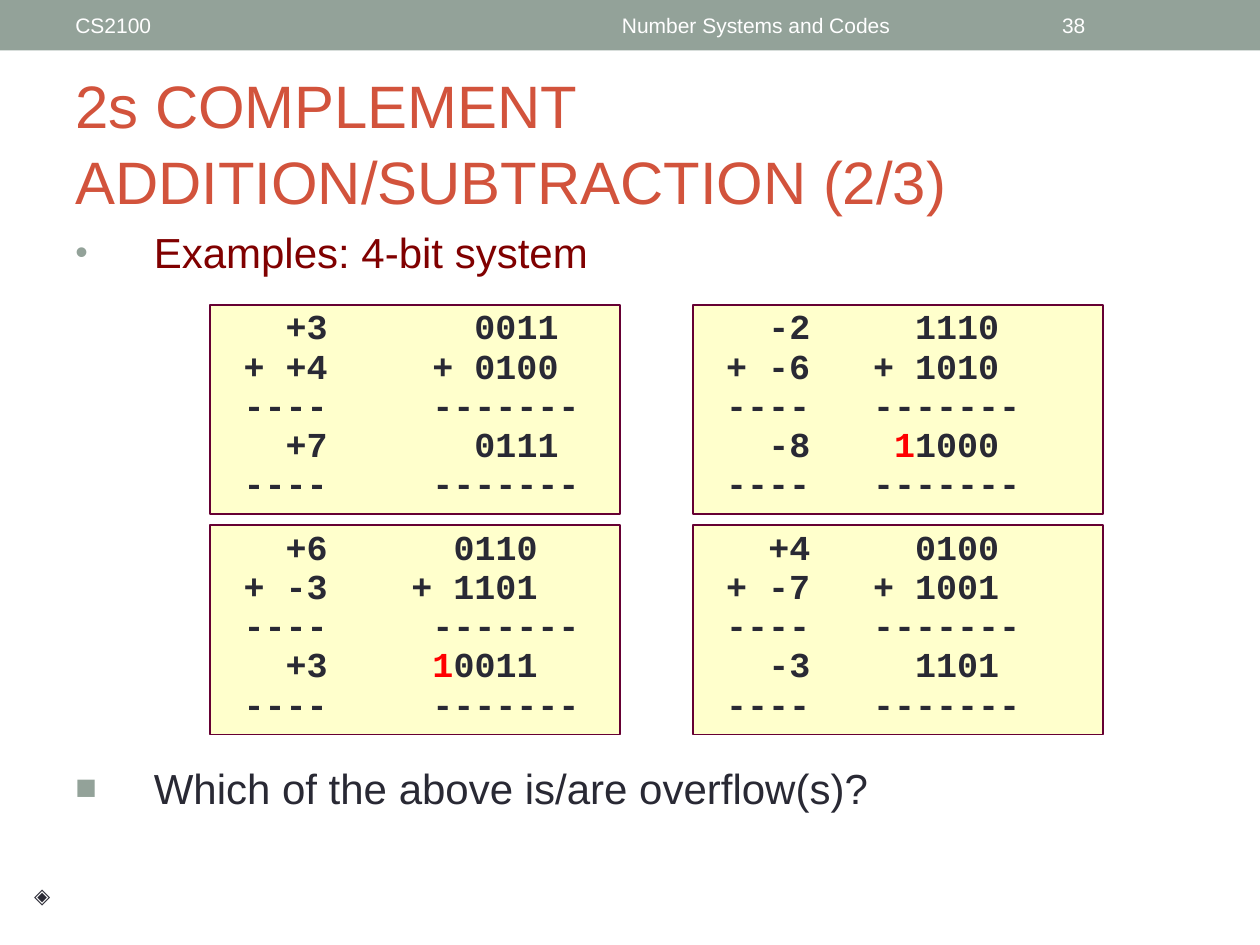
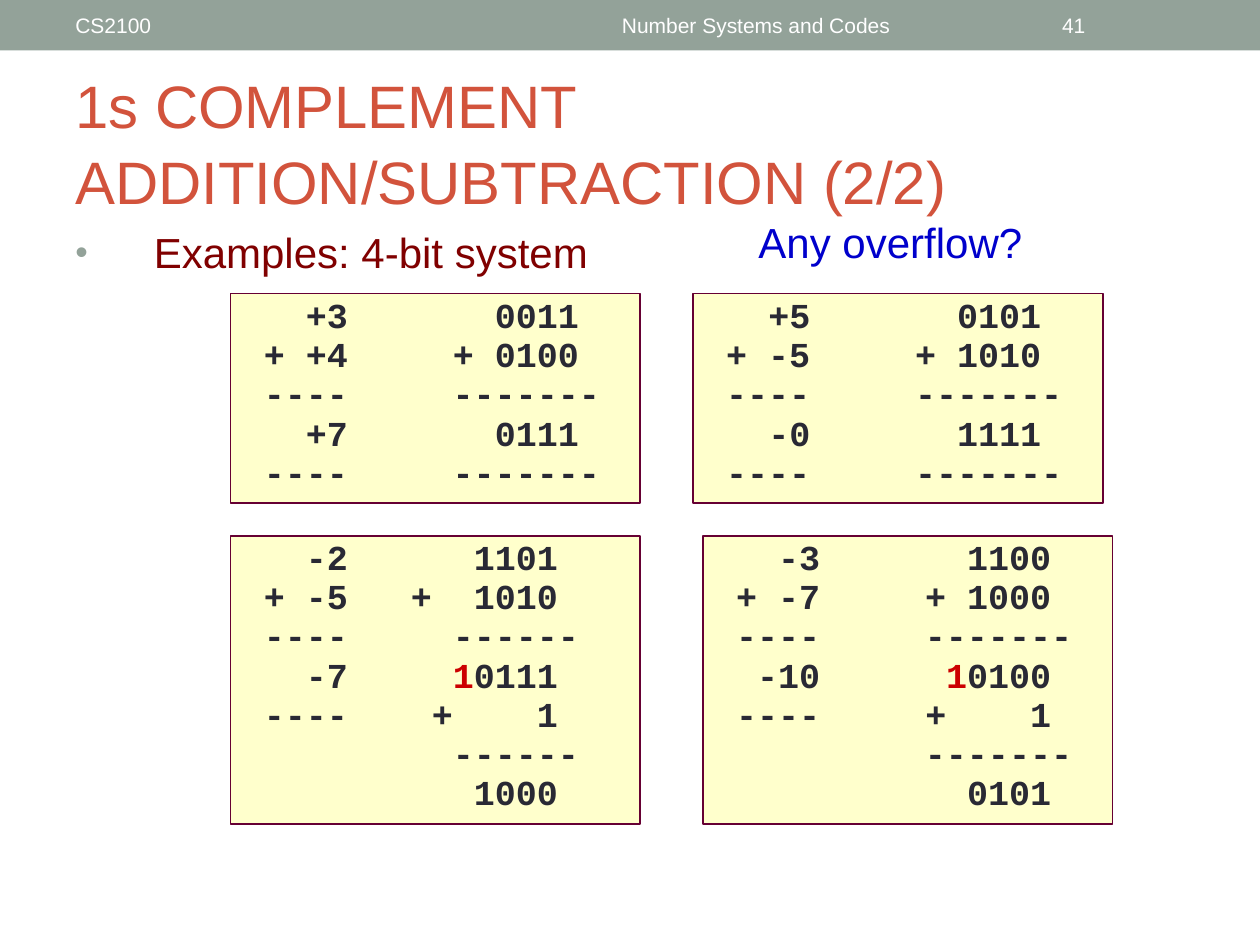
from lxml import etree
from pptx import Presentation
from pptx.dml.color import RGBColor
from pptx.enum.shapes import MSO_SHAPE
from pptx.enum.text import MSO_ANCHOR, MSO_AUTO_SIZE, PP_ALIGN
from pptx.oxml.ns import qn
from pptx.util import Cm, Pt

RECT = MSO_SHAPE.RECTANGLE
TOP, MIDDLE = MSO_ANCHOR.TOP, MSO_ANCHOR.MIDDLE
LEFT, CENTER = PP_ALIGN.LEFT, PP_ALIGN.CENTER
FIXED = MSO_AUTO_SIZE.NONE

SAGE = RGBColor(0x93, 0xA2, 0x99)
RUST = RGBColor(0xD2, 0x53, 0x3C)
MAROON = RGBColor(0x80, 0x00, 0x00)
INK = RGBColor(0x29, 0x29, 0x34)
CREAM = RGBColor(0xFF, 0xFF, 0xCC)
PLUM = RGBColor(0x66, 0x00, 0x33)
RED = RGBColor(0xFF, 0x00, 0x00)
DARK_RED = RGBColor(0xCC, 0x00, 0x00)
BLUE = RGBColor(0x00, 0x00, 0xCC)
WHITE = RGBColor(0xFF, 0xFF, 0xFF)

CHAR = Cm(2.54 / 6)
LEFT_END = 5
RULE, LONG = "----", "-------"

SLIDES = [
    {
        "page": "38",
        "title": ["2s COMPLEMENT", "ADDITION/SUBTRACTION (2/3)"],
        "lists": [("Examples: 4-bit system", "•", MAROON, 4.45, 1.47),
                  ("Which of the above is/are overflow(s)?", "■", INK, 15.24, 1.9)],
        "notes": [("◈", 12, INK, CENTER, 0.03, (0.43, 17.78, 0.84, 0.56))],
        "carry": RED,
        "sums": [
            (4.24, 6.15, 4.22, 16, 17, [("+3", "0011"), ("+ +4", "+ 0100"), (RULE, LONG),
                                        ("+7", "0111"), (RULE, LONG)]),
            (13.97, 6.15, 4.22, 14, 15, [("-2", "1110"), ("+ -6", "+ 1010"), (RULE, LONG),
                                         ("-8", "11000"), (RULE, LONG)]),
            (4.24, 10.59, 4.22, 15, 17, [("+6", "0110"), ("+ -3", "+ 1101"), (RULE, LONG),
                                         ("+3", "10011"), (RULE, LONG)]),
            (13.97, 10.59, 4.22, 14, 15, [("+4", "0100"), ("+ -7", "+ 1001"), (RULE, LONG),
                                          ("-3", "1101"), (RULE, LONG)]),
        ],
    },
    {
        "page": "41",
        "title": ["1s COMPLEMENT", "ADDITION/SUBTRACTION (2/2)"],
        "lists": [("Examples: 4-bit system", "•", MAROON, 4.45, 1.47)],
        "notes": [("Any overflow?", 24, BLUE, LEFT, 0.25, (15.04, 4.24, 7.62, 1.3))],
        "carry": DARK_RED,
        "sums": [
            (4.65, 5.92, 4.22, 16, 17, [("+3", "0011"), ("+ +4", "+ 0100"), (RULE, LONG),
                                        ("+7", "0111"), (RULE, LONG)]),
            (13.97, 5.92, 4.22, 16, 17, [("+5", "0101"), ("+ -5", "+ 1010"), (RULE, LONG),
                                         ("-0", "1111"), (RULE, LONG)]),
            (4.65, 10.8, 5.82, 15, 16, [("-2", "1101"), ("+ -5", "1010", 9), (RULE, "------"),
                                        ("-7", "10111"), (RULE, "1", 10), ("", "------"),
                                        ("", "1000")]),
            (14.17, 10.8, 5.82, 16, 17, [("-3", "1100"), ("+ -7", "+ 1000"), (RULE, LONG),
                                         ("-10", "10100"), (RULE, "1", 11), ("", LONG),
                                         ("", "0101")]),
        ],
    },
]


def put(par, text, size, color, face="Arial", bold=False):
    run = par.add_run()
    run.text = text
    font = run.font
    font.size, font.name, font.bold = Pt(size), face, bold
    font.color.rgb = color


def fit(shape, area, anchor=TOP, align=LEFT, pad=0.25):
    shape.left, shape.top, shape.width, shape.height = [Cm(n) for n in area]
    frame = shape.text_frame
    frame.word_wrap = True
    frame.auto_size = FIXED
    frame.vertical_anchor = anchor
    frame.margin_left = frame.margin_right = Cm(pad)
    frame.margin_top = frame.margin_bottom = Cm(pad / 2)
    par = frame.paragraphs[0]
    par.alignment = align
    par.space_before = Pt(0)
    return par


deck = Presentation()
deck.slide_width, deck.slide_height = Cm(25.4), Cm(19.05)

for num, page in enumerate(SLIDES):
    lists = page["lists"]
    slide = deck.slides.add_slide(deck.slide_layouts[3 if len(lists) > 1 else 1])
    shapes = slide.shapes

    if num == 0:
        band = shapes.add_shape(RECT, 0, 0, Cm(25.4), Cm(1.02))
        band.shadow.inherit = False
        band.fill.solid()
        band.fill.fore_color.rgb = SAGE
        band.line.fill.background()
        deck.slide_master.shapes._spTree.insert(2, band._element)

    for text, left, width, align in [("CS2100", 1.27, 8.05, LEFT),
                                     ("Number Systems and Codes", 9.53, 11.43, CENTER),
                                     (page["page"], 21.16, 2.97, LEFT)]:
        label = shapes.add_textbox(0, 0, 0, 0)
        put(fit(label, (left, 0.05, width, 0.91), MIDDLE, align), text, 12, WHITE)

    par = fit(shapes.title, (1.27, 1.47, 22.86, 2.74), MIDDLE)
    par.line_spacing = 1.05
    first, second = page["title"]
    put(par, first, 34.2, RUST)
    par.add_line_break()
    put(par, second, 34.2, RUST)

    for body, (text, mark, color, top, height) in zip(list(slide.placeholders)[1:], lists):
        par = fit(body, (1.27, top, 22.86, height))
        put(par, text, 24, color)
        props = par._p.get_or_add_pPr()
        props.set("marL", str(Cm(1.58)))
        props.set("indent", str(-Cm(1.58)))
        tint = etree.SubElement(props, qn("a:buClr"))
        etree.SubElement(tint, qn("a:srgbClr"), val=str(SAGE))
        etree.SubElement(props, qn("a:buSzPct"), val="85000")
        etree.SubElement(props, qn("a:buFont"), typeface="Arial")
        etree.SubElement(props, qn("a:buChar"), char=mark)

    for left, top, height, end, rule_end, rows in page["sums"]:
        box = shapes.add_shape(RECT, 0, 0, 0, 0)
        box.shadow.inherit = False
        box.fill.solid()
        box.fill.fore_color.rgb = CREAM
        box.line.color.rgb = PLUM
        box.line.width = Pt(1)
        par = fit(box, (left, top, 8.26, height))
        for row, (term, bits, *plus) in enumerate(rows):
            if row:
                par = box.text_frame.add_paragraph()
                par.alignment = LEFT
                par.space_before = Pt(2)
            par.line_spacing = 0.85
            last = rule_end if bits.startswith("--") else end
            tabs = etree.SubElement(par._p.get_or_add_pPr(), qn("a:tabLst"))
            for stop in [LEFT_END, *plus, last]:
                etree.SubElement(tabs, qn("a:tab"), pos=str(CHAR * stop), algn="r")
            lead = f"\t{term}\t" + ("+\t" if plus else "")
            cut = 1 if bits.isdigit() and len(bits) == 5 else 0
            for text, color in [(lead, INK), (bits[:cut], page["carry"]), (bits[cut:], INK)]:
                if text:
                    put(par, text, 20, color, "Courier New", True)

    for text, size, color, align, pad, area in page["notes"]:
        note = shapes.add_textbox(0, 0, 0, 0)
        put(fit(note, area, TOP, align, pad), text, size, color)

deck.save("out.pptx")
